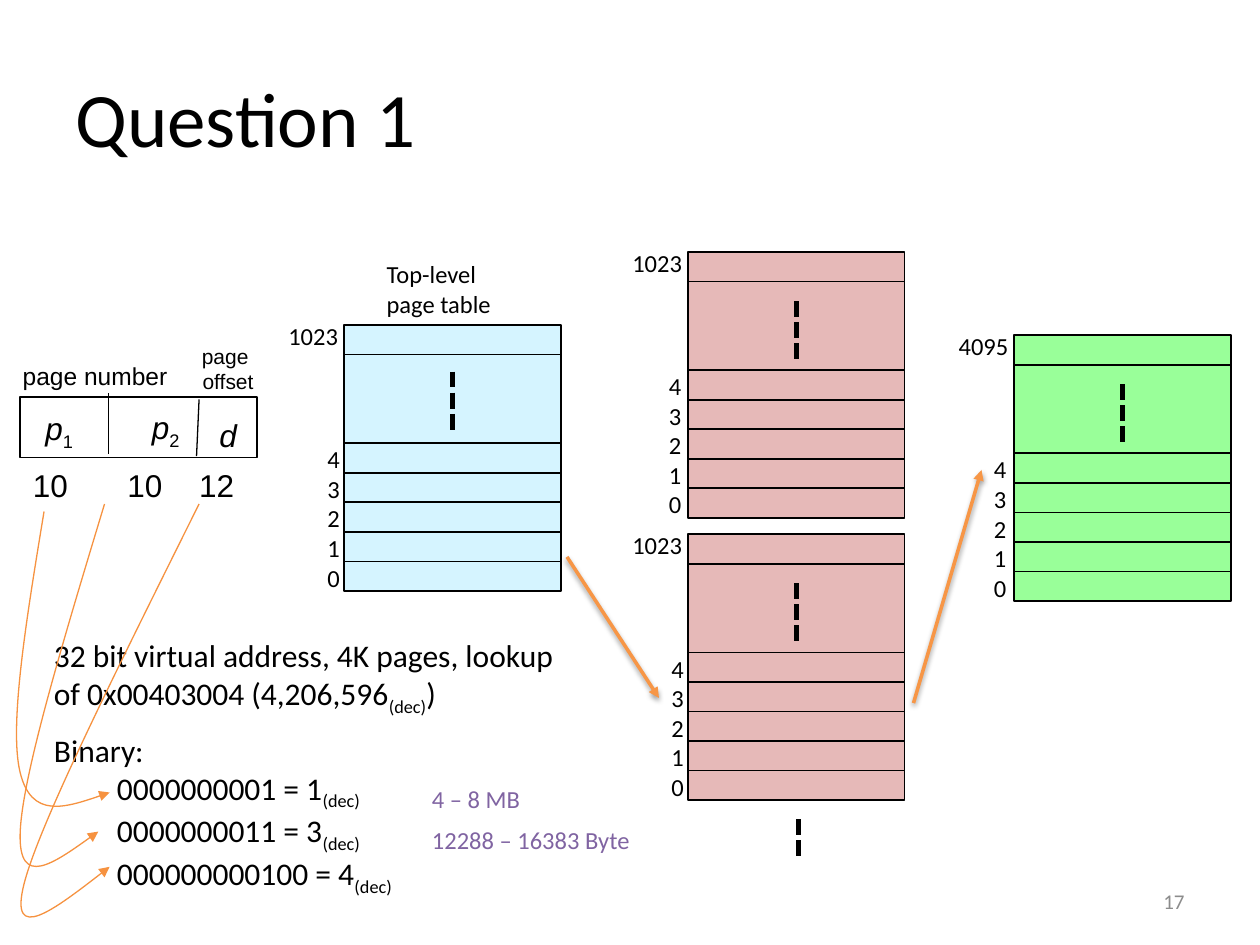
from dataclasses import dataclass
from typing import Any

from lxml import etree
from pptx import Presentation
from pptx.dml.color import RGBColor
from pptx.enum.dml import MSO_LINE
from pptx.enum.shapes import MSO_CONNECTOR, MSO_SHAPE
from pptx.enum.text import MSO_ANCHOR, PP_ALIGN
from pptx.oxml.ns import qn
from pptx.util import Inches, Pt

STRAIGHT, RECTANGLE, DASH = MSO_CONNECTOR.STRAIGHT, MSO_SHAPE.RECTANGLE, MSO_LINE.SQUARE_DOT
LEFT, CENTER, RIGHT = PP_ALIGN.LEFT, PP_ALIGN.CENTER, PP_ALIGN.RIGHT
TOP, MIDDLE = MSO_ANCHOR.TOP, MSO_ANCHOR.MIDDLE

WIDTH, HEIGHT = Inches(10), Inches(7.5)
COLUMN, ROW = WIDTH / 100, HEIGHT / 75
TABLE_WIDTH, TABLE_HEIGHT = 17.2, 21.1
ENTRY = TABLE_HEIGHT / 9
COLORS = {
    "black": "000000", "white": "FFFFFF", "blue": "D5F4FF", "red": "E6B9B8",
    "green": "99FF99", "purple": "8064A2", "orange": "F79646",
    "curve": "F69240", "gray": "8C8C8C",
}


@dataclass
class Span:
    text: str
    italic: bool = False
    subscript: bool = False


@dataclass
class Label:
    left: float
    top: float
    width: float
    height: float
    paras: list[list[Span]]
    size: float = 14
    font: str = "Calibri"
    color: str = "black"
    align: Any = LEFT
    anchor: Any = TOP
    wrap: bool = True
    indent: float = 0


@dataclass
class PageTable:
    left: float
    top: float
    color: str
    last: str
    digit_shift: float
    dash_top: float = 3.9


def x(columns: float) -> int:
    return round(columns * COLUMN)


def y(rows: float) -> int:
    return round(rows * ROW)


def color(name: str) -> RGBColor:
    return RGBColor.from_string(COLORS[name])


def draw_label(page: Any, label: Label) -> None:
    box = page.shapes.add_textbox(x(label.left), y(label.top), x(label.width), y(label.height))
    frame = box.text_frame
    frame.word_wrap = label.wrap
    frame.vertical_anchor = label.anchor
    for index, spans in enumerate(label.paras):
        para = frame.add_paragraph() if index else frame.paragraphs[0]
        para.alignment = label.align
        if index and label.indent:
            para.level = 1
            para._p.get_or_add_pPr().set("marL", str(x(label.indent)))
        for span in spans:
            for number, line in enumerate(span.text.split("\n")):
                if number:
                    para.add_line_break()
                run = para.add_run()
                run.text = line
                run.font.size = Pt(label.size)
                run.font.name = label.font
                run.font.italic = span.italic
                run.font.color.rgb = color(label.color)
                if span.subscript:
                    run.font._element.set("baseline", "-25000")


def draw_box(page: Any, left: float, top: float, width: float, height: float,
             fill: str, weight: float) -> None:
    box = page.shapes.add_shape(RECTANGLE, x(left), y(top), x(width), y(height))
    box.shadow.inherit = False
    box.fill.solid()
    box.fill.fore_color.rgb = color(fill)
    box.line.color.rgb = color("black")
    box.line.width = Pt(weight)


def add_arrowhead(shape: Any) -> None:
    etree.SubElement(shape.line._get_or_add_ln(), qn("a:tailEnd"), type="triangle")


def draw_line(page: Any, start: tuple[float, float], end: tuple[float, float],
              name: str = "black", weight: float = 1, dashed: bool = False) -> Any:
    line = page.shapes.add_connector(STRAIGHT, x(start[0]), y(start[1]), x(end[0]), y(end[1]))
    line.line.color.rgb = color(name)
    line.line.width = Pt(weight)
    if dashed:
        line.line.dash_style = DASH
    etree.SubElement(line._element.spPr, qn("a:effectLst"))
    return line


def draw_arrow(page: Any, start: tuple[float, float], end: tuple[float, float]) -> None:
    arrow = draw_line(page, start, end, "orange", 2)
    add_arrowhead(arrow)
    effects = arrow._element.spPr.find(qn("a:effectLst"))
    shadow = etree.SubElement(effects, qn("a:outerShdw"), blurRad=str(Pt(3.1)),
                              dist=str(Pt(1.6)), dir="5400000", rotWithShape="0")
    tint = etree.SubElement(shadow, qn("a:srgbClr"), val=COLORS["black"])
    etree.SubElement(tint, qn("a:alpha"), val="38000")


def draw_curve(page: Any, points: list[tuple[float, float]]) -> None:
    start, *controls = [(x(across), y(down)) for across, down in points]
    builder = page.shapes.build_freeform(*start)
    builder.add_line_segments(controls, close=False)
    curve = builder.convert_to_shape()
    segments = curve._element.xpath(".//a:lnTo")
    for index in range(0, len(segments), 3):
        bezier = etree.Element(qn("a:cubicBezTo"))
        segments[index].addprevious(bezier)
        for segment in segments[index:index + 3]:
            bezier.append(segment[0])
            segment.getparent().remove(segment)
    curve.shadow.inherit = False
    curve.fill.background()
    curve.line.color.rgb = color("curve")
    curve.line.width = Pt(0.75)
    add_arrowhead(curve)


def draw_table(page: Any, table: PageTable) -> None:
    draw_box(page, table.left, table.top, TABLE_WIDTH, TABLE_HEIGHT, table.color, 1)
    for entry in (1, 4, 5, 6, 7, 8):
        level = table.top + entry * ENTRY
        draw_line(page, (table.left, level), (table.left + TABLE_WIDTH, level))
    middle, dash_top = table.left + TABLE_WIDTH / 2, table.top + table.dash_top
    draw_line(page, (middle, dash_top), (middle, dash_top + 4.7), weight=3, dashed=True)
    draw_label(page, Label(table.left - 5.4, table.top - 0.8, 7, 3.4, [[Span(table.last)]]))
    for digit in range(5):
        top = table.top + (8 - digit) * ENTRY - 0.4
        draw_label(page, Label(table.left - table.digit_shift, top, 5.5, 3.4, [[Span(str(digit))]]))


def address_label(left: float, top: float, width: float, height: float,
                  spans: list[Span], size: float = 18) -> Label:
    return Label(left, top, width, height, [spans], size, "Arial",
                 align=CENTER, anchor=MIDDLE, wrap=False)


DECIMAL = Span("(dec)", subscript=True)
ADDRESS_LABELS = [
    address_label(0.8, 28.1, 13.5, 3.4, [Span("page number")], 14),
    address_label(15, 26.7, 6.2, 5.1, [Span("page \noffset")], 12),
    address_label(2.5, 32.2, 4.4, 4, [Span("p", italic=True), Span("1", subscript=True)]),
    address_label(11, 32.1, 4.3, 4, [Span("p", italic=True), Span("2", subscript=True)]),
    address_label(16.4, 32.5, 3.4, 4, [Span("d", italic=True)]),
    *(address_label(left, 36.5, 4.8, 4, [Span(bits)])
      for left, bits in ((1.6, "10"), (9.1, "10"), (14.8, "12"))),
]
BINARY = ("0000000001 = 1", "0000000011 = 3", "000000000100 = 4")
LABELS = [
    Label(5, 3, 90, 12.5, [[Span("Question 1")]], 44, anchor=MIDDLE),
    Label(29.7, 20.1, 15.3, 5.7, [[Span("Top-level \npage table")]]),
    Label(3.3, 50, 41.7, 7.1, [[
        Span("32 bit virtual address, 4K pages, lookup of 0x00403004 (4,206,596"),
        DECIMAL, Span(")")]], 18),
    Label(3.3, 57.5, 39.2, 13.1,
          [[Span("Binary:")], *([Span(value), DECIMAL] for value in BINARY)], 18, indent=5),
    Label(33.3, 61.7, 13.3, 3.4, [[Span("4 – 8 MB")]], color="purple"),
    Label(33.3, 65, 19.2, 3.4, [[Span("12288 – 16383 Byte")]], color="purple"),
    Label(71.7, 69.5, 23.3, 4, [[Span("17")]], 12, color="gray", align=RIGHT, anchor=MIDDLE),
]
TABLES = [
    PageTable(27.3, 25.8, "blue", "1023", 2.3, 3.7),
    PageTable(80.5, 26.6, "green", "4095", 2.6),
    PageTable(54.6, 20, "red", "1023", 2.5),
    PageTable(54.6, 42.4, "red", "1023", 2.3),
]
CURVES = [
    [(3.5, 40.6), (2.1, 49.1), (0.7, 57.6), (1.6, 61.3), (2.5, 65), (5.6, 64), (8.7, 62.9)],
    [(8.3, 40), (5, 50.9), (1.7, 61.8), (1.6, 66.2), (1.5, 70.5), (4.6, 68.3), (7.8, 66)],
    [(15.8, 40), (9.5, 52.7), (3.1, 65.4), (1.9, 70.2), (0.7, 75), (4.7, 71.9), (8.7, 68.8)],
]


def main() -> None:
    deck = Presentation()
    deck.slide_width, deck.slide_height = WIDTH, HEIGHT
    page = deck.slides.add_slide(deck.slide_layouts[6])
    draw_box(page, 1.6, 31.5, 18.8, 4.8, "white", 0.75)
    draw_line(page, (15.8, 31.7), (15.6, 36.2), weight=0.75)
    draw_line(page, (8.6, 31.2), (8.6, 36), weight=0.75)
    for table in TABLES:
        draw_table(page, table)
    draw_line(page, (63.4, 65), (63.4, 68), weight=3, dashed=True)
    for label in ADDRESS_LABELS + LABELS:
        draw_label(page, label)
    draw_arrow(page, (45, 44.2), (52.3, 55.4))
    draw_arrow(page, (72.5, 55.8), (77.9, 37.3))
    for points in CURVES:
        draw_curve(page, points)
    deck.save("out.pptx")


if __name__ == "__main__":
    main()
